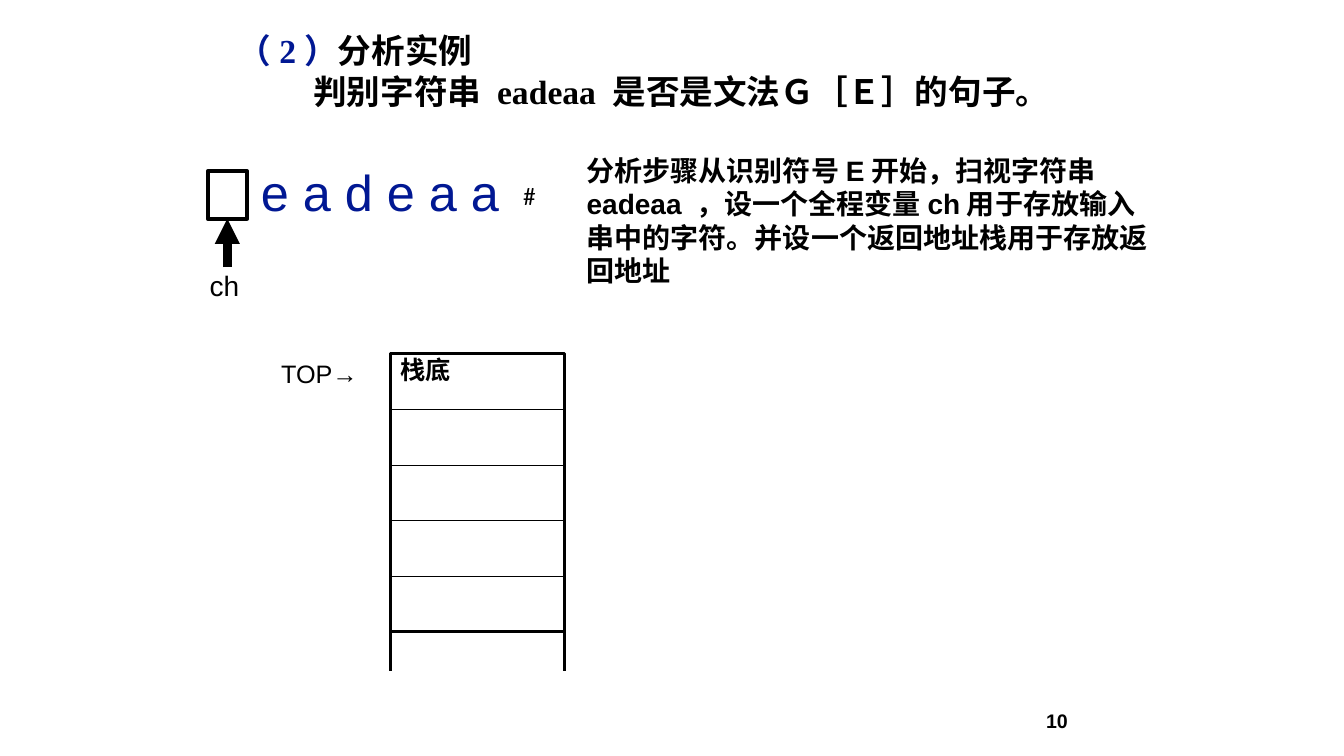
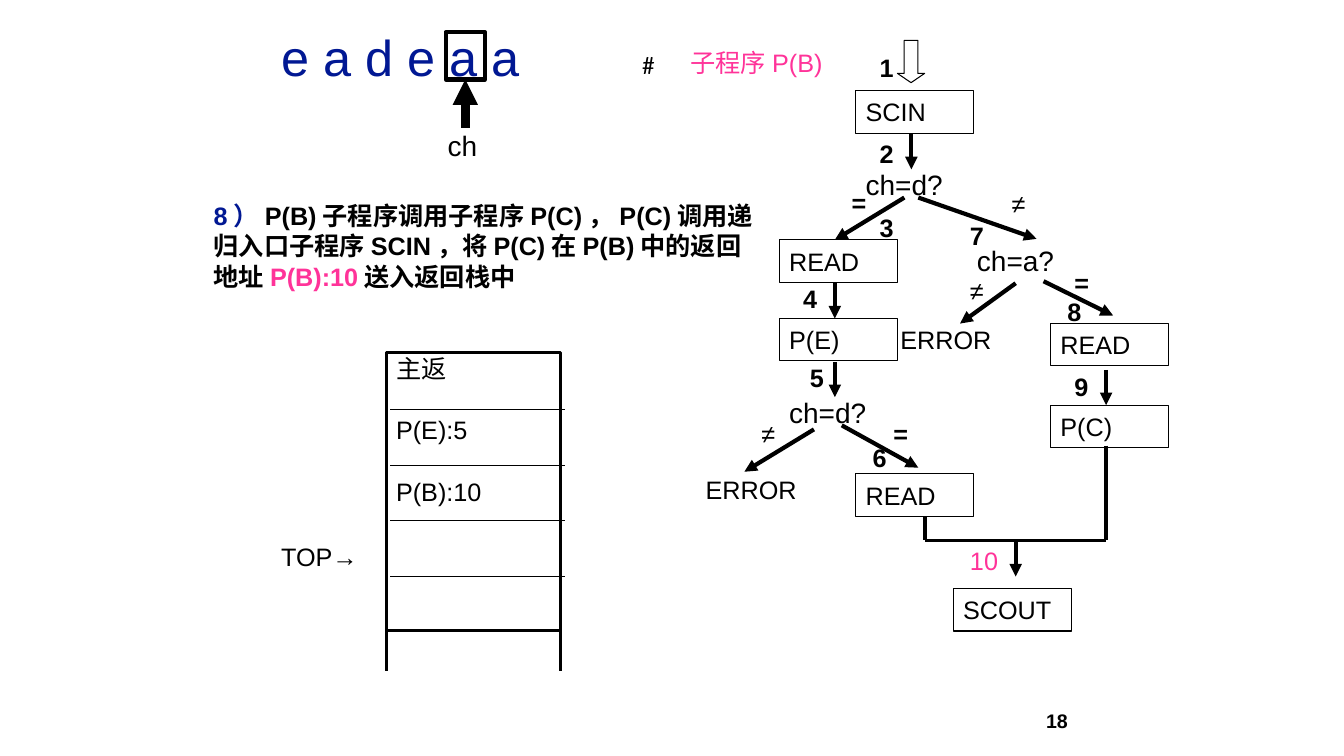
from pptx import Presentation, util as u
from pptx.dml.color import RGBColor
from pptx.enum import shapes, text
from pptx.oxml.ns import qn
from lxml import etree

BLACK = RGBColor(0x00, 0x00, 0x00)
WHITE = RGBColor(0xFF, 0xFF, 0xFF)
NAVY = RGBColor(0x01, 0x18, 0x93)
PINK = RGBColor(0xFF, 0x33, 0x99)

INPUT = "e a d e a a"
HEADING = [[("（2）", NAVY), ("分析实例", BLACK)],
           [("判别字符串 eadeaa 是否是文法Ｇ［Ｅ］的句子。", BLACK)]]
INTRO = ("分析步骤从识别符号E开始，扫视字符串eadeaa ，设一个全程变量ch用于存放输入"
         "串中的字符。并设一个返回地址栈用于存放返回地址")
STEP = [[("8）", NAVY),
         ("P(B)子程序调用子程序P(C)，P(C)调用递归入口子程序SCIN，将P(C)在P(B)中的返回地址", BLACK),
         ("P(B):10", PINK), ("送入返回栈中", BLACK)]]

FLOW_LEFT = 6.9
COL = (11.04 - FLOW_LEFT) / 60
BOX_COLS, BOX_HEIGHT = 17, 0.42
BOXES = [("SCIN", 23, 0.9), ("READ", 12, 2.38), ("P(E)", 12, 3.16), ("READ", 23, 4.7),
         ("READ", 51, 3.21), ("P(C)", 51, 4.02), ("SCOUT", 37, 5.84)]
ERRORS = [("ERROR", 0, 4.65), ("ERROR", 28, 3.16)]
TESTS = [("ch=d?", 23, 1.61), ("ch=d?", 12, 3.87), ("ch=a?", 39, 2.37)]
NUMBERS = [("1", 25, 0.47), ("2", 25, 1.32), ("3", 25, 2.06), ("4", 14, 2.76), ("5", 15, 3.55),
           ("6", 24, 4.34), ("7", 38, 2.14), ("8", 52, 2.89), ("9", 53, 3.63)]
BRANCHES = [("=", 21, 1.81), ("≠", 44, 1.82), ("=", 27, 4.1), ("≠", 8, 4.1),
            ("≠", 38, 2.68), ("=", 53, 2.6)]
ARROWS = [(31, 1.33, 31, 1.68), (30, 1.96, 20, 2.38), (20, 2.81, 20, 3.16), (20, 3.59, 20, 3.94),
          (32, 1.96, 49, 2.37), (17, 4.26, 7, 4.68), (59, 3.67, 59, 4.02), (21, 4.22, 32, 4.64),
          (46, 5.36, 46, 5.72), (46, 2.81, 38, 3.21), (50, 2.79, 60, 3.13)]
JOINS = [(33, 5.13, 33, 5.36, 3), (59, 4.42, 59, 5.36, 3), (33, 5.36, 59, 5.36, 2.25)]

STACK_ROWS, STACK_WIDTH, STACK_HEIGHT = 5, 1.73, 2.76
RULE_LEFT, RULE_TOP = 3.87, 3.51


def col(n):
    return FLOW_LEFT + n * COL


def write(frame, paragraphs, size, color=BLACK, bold=False, font="Arial", wrap=True,
          anchor=text.MSO_ANCHOR.TOP, align=text.PP_ALIGN.LEFT):
    if isinstance(paragraphs, str):
        paragraphs = [[(paragraphs, color)]]
    frame.word_wrap = wrap
    frame.vertical_anchor = anchor
    for i, parts in enumerate(paragraphs):
        paragraph = frame.add_paragraph() if i else frame.paragraphs[0]
        paragraph.alignment = align
        for words, shade in parts:
            run = paragraph.add_run()
            run.text = words
            run.font.size, run.font.bold, run.font.name = u.Pt(size), bold, font
            run.font.color.rgb = shade
    return frame


def label(slide, at, paragraphs, size, **style):
    box = slide.shapes.add_textbox(*map(u.Inches, at))
    return write(box.text_frame, paragraphs, size, **style)


def outline(slide, at, width, preset=shapes.MSO_SHAPE.RECTANGLE):
    shape = slide.shapes.add_shape(preset, *map(u.Inches, at))
    shape.shadow.inherit = False
    shape.fill.background()
    shape.line.color.rgb, shape.line.width = BLACK, u.Pt(width)
    return shape


def line(slide, ends, width, arrow=False):
    connector = slide.shapes.add_connector(shapes.MSO_CONNECTOR.STRAIGHT, *map(u.Inches, ends))
    connector.line.color.rgb, connector.line.width = BLACK, u.Pt(width)
    props = connector.element.spPr
    if arrow:
        etree.SubElement(props.find(qn("a:ln")), qn("a:tailEnd"), type="triangle")
    etree.SubElement(props, qn("a:effectLst"))
    return connector


def new_slide(prs, number):
    slide = prs.slides.add_slide(prs.slide_layouts[6])
    slide.background.fill.solid()
    slide.background.fill.fore_color.rgb = WHITE
    label(slide, (9.38, 6.95, 1.31, 0.4), number, 14, bold=True,
          anchor=text.MSO_ANCHOR.MIDDLE, align=text.PP_ALIGN.RIGHT)
    return slide


def ch_pointer(slide, left, top):
    cell = outline(slide, (left, top, 0.39, 0.47), 3)
    middle = left + 0.39 / 2
    line(slide, (middle, top + 0.95, middle, top + 0.47), 6, True).end_connect(cell, 2)
    label(slide, (left - 0.08, top + 0.91, 0.55, 0.43), "ch", 20)


def input_string(slide, left, top, hash_left, hash_top):
    label(slide, (left, top, 2.59, 0.7), INPUT, 36, color=NAVY, wrap=False)
    label(slide, (hash_left, hash_top, 0.34, 0.4), "#", 18, font="Calibri", wrap=False)


def stack(slide, left, top, entries, top_mark, bold=False):
    frame = outline(slide, (left, top, STACK_WIDTH, STACK_HEIGHT), 2.25).text_frame
    frame.margin_top = frame.margin_bottom = u.Inches(0.01)
    write(frame, [[(entry, BLACK)] for entry in entries], 18, bold=bold)
    for paragraph in frame.paragraphs[1:]:
        paragraph.space_before = u.Pt(22)
    for x in (left, left + STACK_WIDTH):
        line(slide, (x, 5.88, x, 6.66), 2.25)
    for row in range(1, STACK_ROWS):
        y = RULE_TOP + row * STACK_HEIGHT / STACK_ROWS
        line(slide, (RULE_LEFT, y, RULE_LEFT + STACK_WIDTH, y), 0.75)
    label(slide, (2.69, top_mark, 1.18, 0.4), "TOP→", 18)


def example_slide(prs):
    slide = new_slide(prs, "10")
    ch_pointer(slide, 2.06, 1.7)
    heading = label(slide, (2.26, 0.25, 9.06, 0.91), HEADING, 24, bold=True,
                    font="Times New Roman")
    heading.paragraphs[1]._p.get_or_add_pPr().set("marL", str(u.Inches(0.75)))
    input_string(slide, 2.49, 1.55, 5.09, 1.74)
    label(slide, (5.72, 1.47, 5.9, 1.43), INTRO, 20, bold=True)
    stack(slide, 3.87, 3.51, ["栈底"], 3.51, bold=True)


def flowchart(slide):
    entry = outline(slide, (col(29), 0.4, 0.27, 0.42), 0.75, shapes.MSO_SHAPE.DOWN_ARROW)
    entry.adjustments[0], entry.adjustments[1] = 0.5, 0.34
    middle = text.MSO_ANCHOR.MIDDLE
    for words, x, y in BOXES:
        box = outline(slide, (col(x), y, BOX_COLS * COL, BOX_HEIGHT), 0.75)
        write(box.text_frame, words, 18, anchor=middle)
    for words, x, y in ERRORS:
        label(slide, (col(x), y, BOX_COLS * COL, BOX_HEIGHT), words, 18, anchor=middle)
    for words, x, y in TESTS:
        label(slide, (col(x), y, BOX_COLS * COL, 0.43), words, 20)
    for words, x, y in NUMBERS + BRANCHES:
        label(slide, (col(x), y, 0.28, 0.4), words, 18, bold=words != "≠")
    label(slide, (col(38), 5.36, 0.48, 0.4), "10", 18, color=PINK, wrap=False)
    for x1, y1, x2, y2 in ARROWS:
        line(slide, (col(x1), y1, col(x2), y2), 3, True)
    for x1, y1, x2, y2, width in JOINS:
        line(slide, (col(x1), y1, col(x2), y2), width)


def step_slide(prs):
    slide = new_slide(prs, "18")
    ch_pointer(slide, 4.42, 0.32)
    input_string(slide, 2.69, 0.21, 6.27, 0.44)
    label(slide, (2.02, 1.94, 5.61, 1), STEP, 18, bold=True)
    label(slide, (6.75, 0.42, 2, 0.4), "子程序P(B)", 18, color=PINK)
    stack(slide, 3.83, 3.5, ["主返", "P(E):5", "P(B):10"], 5.32)
    flowchart(slide)


def main():
    prs = Presentation()
    prs.slide_width, prs.slide_height = u.Inches(13.33), u.Inches(7.5)
    example_slide(prs)
    step_slide(prs)
    prs.save("out.pptx")


if __name__ == "__main__":
    main()
